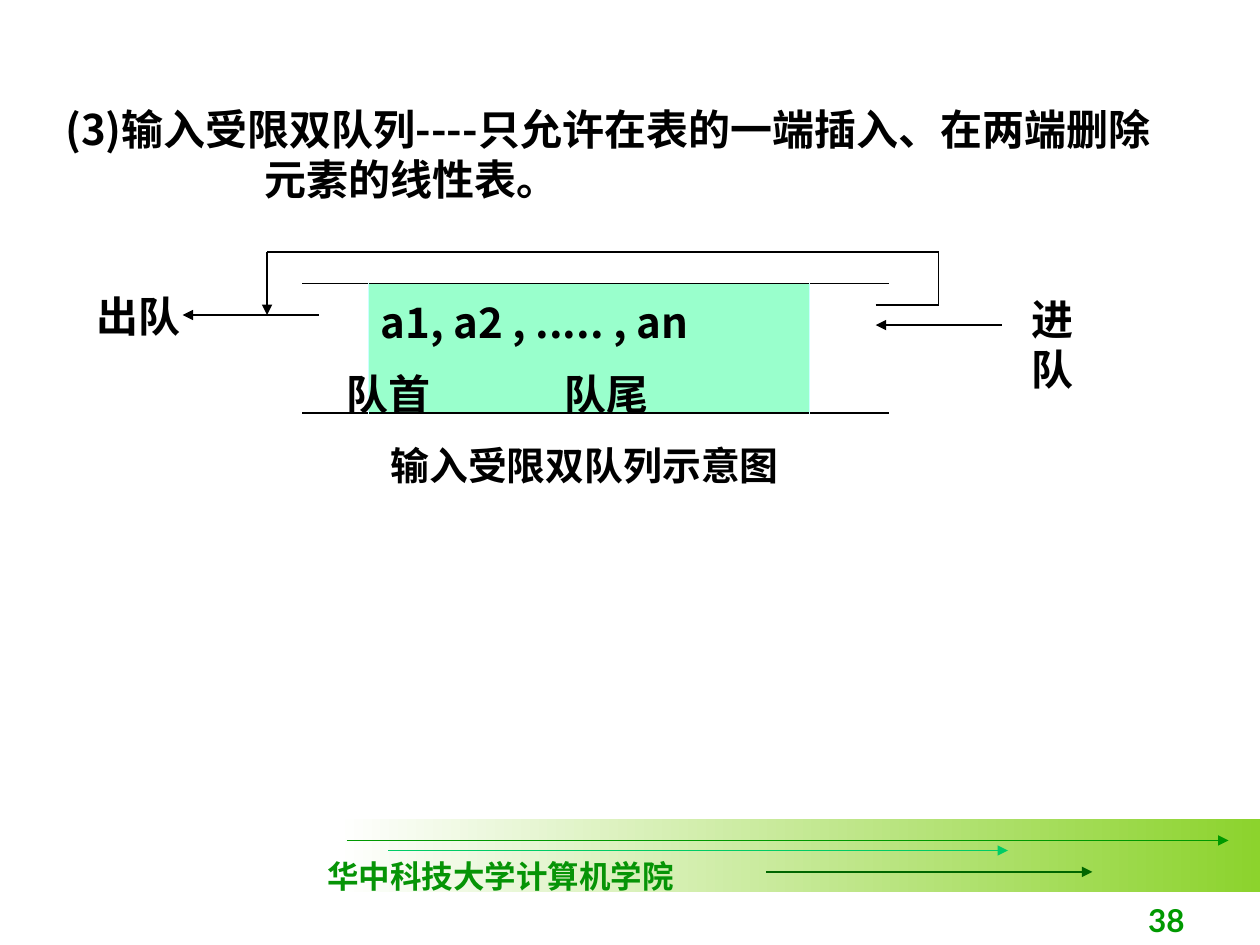
from dataclasses import dataclass

from lxml.etree import SubElement
from pptx import Presentation
from pptx.dml.color import RGBColor
from pptx.enum.shapes import MSO_CONNECTOR as Connector, MSO_SHAPE as Shape
from pptx.enum.text import MSO_ANCHOR as Anchor, PP_ALIGN as Align
from pptx.oxml.ns import qn
from pptx.util import Inches, Pt


@dataclass(frozen=True)
class Theme:
    ink: str = "000000"
    white: str = "FFFFFF"
    queue: str = "99FFCC"
    cell_edge: str = "CCFFFF"
    band_end: str = "8CD32D"
    footer: str = "069406"
    green: str = "009900"
    mint: str = "00CC66"
    dark_green: str = "006600"
    cjk: str = "Noto Sans CJK SC"
    serif: str = "Times New Roman"
    number: str = "Lato"
    body: float = 24
    caption: float = 22.2
    small: float = 18
    line: float = 0.75
    rail: float = 1.08
    divider: float = 0.45


def rgb(value):
    return RGBColor.from_string(value)


class SlideBuilder:
    def __init__(self, slide, theme):
        self.s = slide
        self.t = theme

    def style(self, p, size=None, color=None, font=None):
        f = p.font
        f.size = Pt(size or self.t.body)
        f.bold = True
        f.color.rgb = rgb(color or self.t.ink)
        f.name = font or self.t.cjk
        east_asian = SubElement(p._p.pPr.find(qn("a:defRPr")), qn("a:ea"))
        east_asian.set("typeface", self.t.cjk)

    def text(self, box, lines, wrap=True, align=Align.LEFT, anchor=Anchor.TOP,
             spacing=None, indents=(), tab=None, **font):
        """Add one paragraph per line; indents and tab are in inches."""
        tf = self.s.shapes.add_textbox(*map(Inches, box)).text_frame
        tf.word_wrap = wrap
        tf.vertical_anchor = anchor
        for i, line in enumerate(lines):
            p = tf.paragraphs[0] if i == 0 else tf.add_paragraph()
            p.text = line
            p.alignment = align
            if spacing:
                p.line_spacing = spacing
            if indents:
                p._p.get_or_add_pPr().set("marL", str(Inches(indents[i])))
            if tab:
                stops = SubElement(p._p.get_or_add_pPr(), qn("a:tabLst"))
                SubElement(stops, qn("a:tab"), pos=str(Inches(tab)), algn="l")
            self.style(p, **font)

    def line(self, x1, y1, x2, y2, color=None, arrow=False):
        c = self.s.shapes.add_connector(
            Connector.STRAIGHT, *map(Inches, (x1, y1, x2, y2)))
        c.line.color.rgb = rgb(color or self.t.ink)
        c.line.width = Pt(self.t.line)
        if arrow:
            SubElement(c.line._get_or_add_ln(), qn("a:tailEnd"), type="triangle")
        SubElement(c._element.spPr, qn("a:effectLst"))

    def gradient_band(self, box, start, end):
        sp = self.s.shapes.add_shape(Shape.RECTANGLE, *map(Inches, box))
        sp.shadow.inherit = False
        sp.line.fill.background()
        sp.fill.gradient()
        sp.fill.gradient_angle = 0
        for stop, color, position in zip(sp.fill.gradient_stops, (start, end), (0, 1)):
            stop.color.rgb = rgb(color)
            stop.position = position

    def cell_border(self, cell, side, color, width):
        ln = SubElement(cell._tc.get_or_add_tcPr(), qn(f"a:ln{side}"), w=str(Pt(width)))
        fill = SubElement(ln, qn("a:solidFill"))
        SubElement(fill, qn("a:srgbClr"), val=color)

    def queue_table(self, x, y, widths, height, content):
        """Draw a queue: a filled middle cell between two open ends."""
        t = self.t
        table = self.s.shapes.add_table(
            1, len(widths), *map(Inches, (x, y, sum(widths), height))).table
        table.first_row = table.horz_banding = False
        table.rows[0].height = Inches(height)
        last = len(widths) - 1
        for i, width in enumerate(widths):
            table.columns[i].width = Inches(width)
            cell = table.cell(0, i)
            for side, edge in (("L", i == 0), ("R", i == last)):
                self.cell_border(cell, side, t.white if edge else t.cell_edge, t.divider)
            for side in "TB":
                self.cell_border(cell, side, t.ink, t.rail)
            cell.fill.solid()
            cell.fill.fore_color.rgb = rgb(t.queue if i == 1 else t.white)
        p = table.cell(0, 1).text_frame.paragraphs[0]
        p.text = content
        self.style(p)


def add_footer(b):
    t = b.t
    b.gradient_band((2.67, 6.5, 7.33, 0.58), t.white, t.band_end)
    for x1, x2, y, color in ((2.75, 9.75, 6.67, t.green),
                             (3.08, 8, 6.75, t.mint),
                             (6.08, 8.67, 6.92, t.dark_green)):
        b.line(x1, y, x2, y, color, arrow=True)
    b.text((2.5, 6.75, 2.95, 0.4), ["华中科技大学计算机学院"], wrap=False,
           size=t.small, color=t.footer, font=t.serif)
    b.text((7.42, 7, 2.08, 0.5), ["38"], align=Align.RIGHT, anchor=Anchor.BOTTOM,
           size=t.small, color=t.green, font=t.number)


def add_queue_diagram(b):
    b.text((3, 3.5, 3.83, 0.5), ["输入受限双队列示意图"], spacing=0.9, size=b.t.caption)
    b.queue_table(2.39, 2.25, (0.53, 3.5, 0.64), 1.03, "a1, a2 , ..... , an")
    b.text((8.09, 2.28, 0.86, 0.5), ["进队"], wrap=False)
    b.text((0.67, 2.26, 0.95, 0.5), ["出队"])

    left, right, top, mouth = 2.12, 7.45, 2, 6.95
    b.line(7.95, 2.58, mouth, 2.58, arrow=True)
    b.line(left, top, right, top)
    b.line(mouth, 2.42, right, 2.42)
    b.line(right, top, right, 2.42)
    b.line(2.53, 2.5, 1.45, 2.5, arrow=True)
    b.line(left, top, left, 2.5, arrow=True)
    b.text((2.65, 2.92, 4.18, 0.46), ["队首\t队尾"], spacing=0.9, tab=1.73)


def main():
    prs = Presentation()
    prs.slide_width, prs.slide_height = Inches(10), Inches(7.5)
    b = SlideBuilder(prs.slides.add_slide(prs.slide_layouts[6]), Theme())
    add_footer(b)
    add_queue_diagram(b)
    b.text((0.42, 0.77, 9.08, 0.9),
           ["(3)输入受限双队列----只允许在表的一端插入、在两端删除", "元素的线性表。"],
           indents=(0, 1.58))
    prs.save("out.pptx")


if __name__ == "__main__":
    main()
